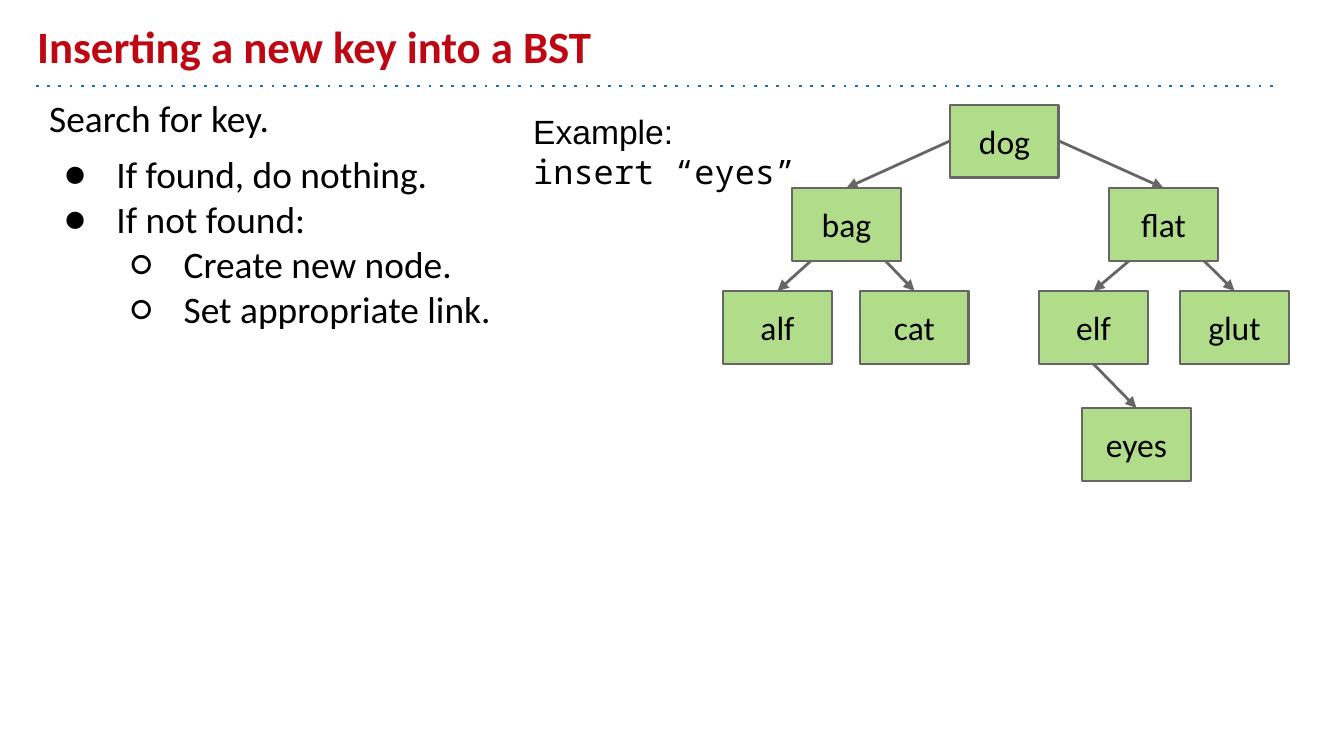
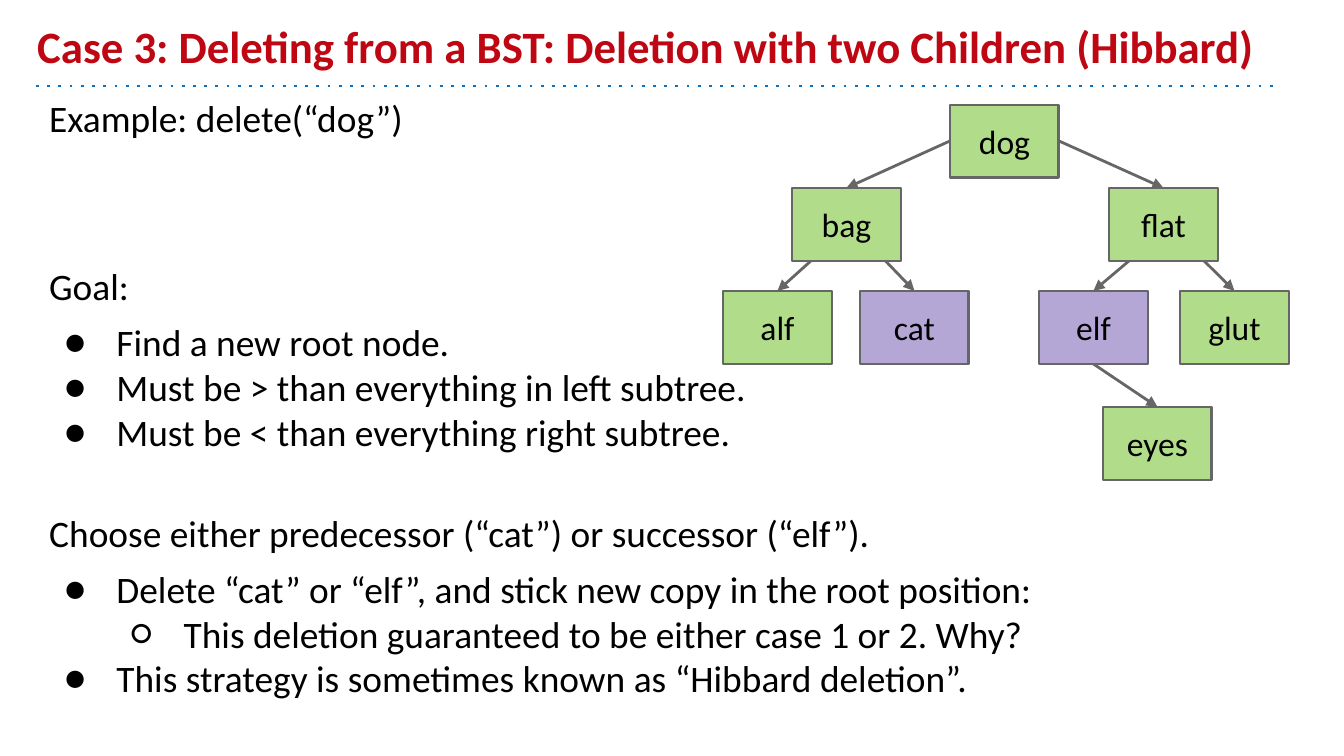
import pptx
import pptx.dml.color
import pptx.enum.shapes
import pptx.enum.text
import pptx.oxml.ns
import pptx.util
from lxml import etree

EMU_PER_PIXEL = 914400 / 134.4
RED, BLUE, GREY, BLACK = "BE0712", "1072BD", "666666", "000000"
GREEN, PURPLE = "B1DD8B", "B4A7D6"
SANS, PLAIN, MONO = "Calibri", "Arial", "Noto Sans Mono"
NODE_W, NODE_H = 109, 73
BULLETS = {1: "●", 2: "○"}
qn = pptx.oxml.ns.qn


def px(length):
    return pptx.util.Emu(round(length * EMU_PER_PIXEL))


def rgb(hex_color):
    return pptx.dml.color.RGBColor.from_string(hex_color)


class Deck:
    def __init__(self):
        self.presentation = pptx.Presentation()
        self.presentation.slide_width = px(1344)
        self.presentation.slide_height = px(756)
        self.slide = None

    def new_slide(self, title, title_width):
        blank = self.presentation.slide_layouts[6]
        self.slide = self.presentation.slides.add_slide(blank)
        self.line((36, 86), (1277, 86), BLUE, dash="dot")
        heading = self.text_frame(24, 13, title_width, 73)
        heading.vertical_anchor = pptx.enum.text.MSO_ANCHOR.BOTTOM
        heading.text = title
        self.font(heading.paragraphs[0], SANS, 24, RED, bold=True)

    def font(self, paragraph, name, size, color=BLACK, bold=False):
        for run in paragraph.runs:
            run.font.name = name
            run.font.size = pptx.util.Pt(size)
            run.font.color.rgb = rgb(color)
            run.font.bold = bold

    def inset(self, frame):
        frame.word_wrap = True
        frame.margin_left = frame.margin_right = pptx.util.Inches(0.1)
        frame.margin_top = frame.margin_bottom = pptx.util.Inches(0.1)

    def text_frame(self, x, y, width, height):
        box = self.slide.shapes.add_textbox(px(x), px(y), px(width), px(height))
        self.inset(box.text_frame)
        return box.text_frame

    def body(self, width, items):
        """Each item is (level, space before in points, text)."""
        frame = self.text_frame(36, 82, width, 610)
        frame.text = "\n".join(text for _, _, text in items)
        for paragraph, (level, space, _) in zip(frame.paragraphs, items):
            paragraph.space_before = pptx.util.Pt(space)
            self.font(paragraph, SANS, 20)
            if level:
                self.bullet(paragraph, level)

    def bullet(self, paragraph, level):
        paragraph.level = level - 1
        props = paragraph._p.get_or_add_pPr()
        props.set("marL", str(pptx.util.Inches(0.5 * level)))
        props.set("indent", str(pptx.util.Inches(-0.39)))
        color = etree.SubElement(props, qn("a:buClr"))
        etree.SubElement(color, qn("a:srgbClr"), val=BLACK)
        etree.SubElement(props, qn("a:buFont"), typeface=SANS)
        etree.SubElement(props, qn("a:buChar"), char=BULLETS[level])

    def line(self, start, end, color, dash=None, arrow=False):
        connector = self.slide.shapes.add_connector(
            pptx.enum.shapes.MSO_CONNECTOR.STRAIGHT,
            *(px(value) for value in (*start, *end)))
        connector.line.color.rgb = rgb(color)
        connector.line.width = pptx.util.Pt(1.5)
        props = connector.element.spPr
        stroke = props.find(qn("a:ln"))
        if dash:
            etree.SubElement(stroke, qn("a:prstDash"), val=dash)
        if arrow:
            etree.SubElement(stroke, qn("a:tailEnd"), type="triangle")
        etree.SubElement(props, qn("a:effectLst"))

    def node(self, word, x, y, fill):
        box = self.slide.shapes.add_shape(
            pptx.enum.shapes.MSO_SHAPE.RECTANGLE, px(x), px(y), px(NODE_W), px(NODE_H))
        box.shadow.inherit = False
        box.fill.solid()
        box.fill.fore_color.rgb = rgb(fill)
        box.line.color.rgb = rgb(GREY)
        box.line.width = pptx.util.Pt(1.5)
        frame = box.text_frame
        self.inset(frame)
        frame.vertical_anchor = pptx.enum.text.MSO_ANCHOR.MIDDLE
        frame.text = word
        frame.paragraphs[0].alignment = pptx.enum.text.PP_ALIGN.CENTER
        self.font(frame.paragraphs[0], SANS, 18)

    def tree(self, eyes, highlighted=()):
        nodes = {**TREE_NODES, "eyes": eyes}
        # Links run to the top centre of each child and lie behind the nodes
        for child, start in LINK_STARTS.items():
            x, y = nodes[child]
            self.line(start, (x + NODE_W / 2, y), GREY, arrow=True)
        for word, (x, y) in nodes.items():
            self.node(word, x, y, PURPLE if word in highlighted else GREEN)


# The search tree: node corners, and where the link to each child begins
TREE_NODES = {
    "dog": (950, 105),
    "bag": (792, 188), "flat": (1109, 188),
    "alf": (723, 291), "cat": (860, 291), "elf": (1039, 291), "glut": (1180, 291),
}
LINK_STARTS = {
    "bag": (950, 141), "flat": (950 + NODE_W, 141),
    "alf": (832, 242), "cat": (874, 249), "elf": (1142, 250), "glut": (1193, 250),
    "eyes": (1039 + NODE_W / 2, 291 + NODE_H),
}

deck = Deck()

# Slide 1: insertion
deck.new_slide("Inserting a new key into a BST", 1210)
deck.body(640, [
    (0, 6, "Search for key."),
    (1, 6, "If found, do nothing."),
    (1, 0, "If not found:"),
    (2, 0, "Create new node."),
    (2, 0, "Set appropriate link."),
])
example = deck.text_frame(520, 97, 319, 50)
example.text = "Example:\ninsert “eyes”"
for paragraph, typeface in zip(example.paragraphs, (PLAIN, MONO)):
    deck.font(paragraph, typeface, 18)
deck.tree(eyes=(1082, 408))

# Slide 2: deletion with two children
deck.new_slide("Case 3: Deleting from a BST: Deletion with two Children (Hibbard)", 1293)
deck.body(1240, [
    (0, 6, "Example: delete(“dog”)"),
    (0, 66, "Goal:"),
    (1, 6, "Find a new root node."),
    (1, 0, "Must be > than everything in left subtree."),
    (1, 0, "Must be < than everything right subtree."),
    (0, 30, "Choose either predecessor (“cat”) or successor (“elf”)."),
    (1, 6, "Delete “cat” or “elf”, and stick new copy in the root position:"),
    (2, 0, "This deletion guaranteed to be either case 1 or 2. Why?"),
    (1, 0, "This strategy is sometimes known as “Hibbard deletion”."),
])
deck.tree(eyes=(1103, 407), highlighted=("cat", "elf"))

deck.presentation.save("out.pptx")
